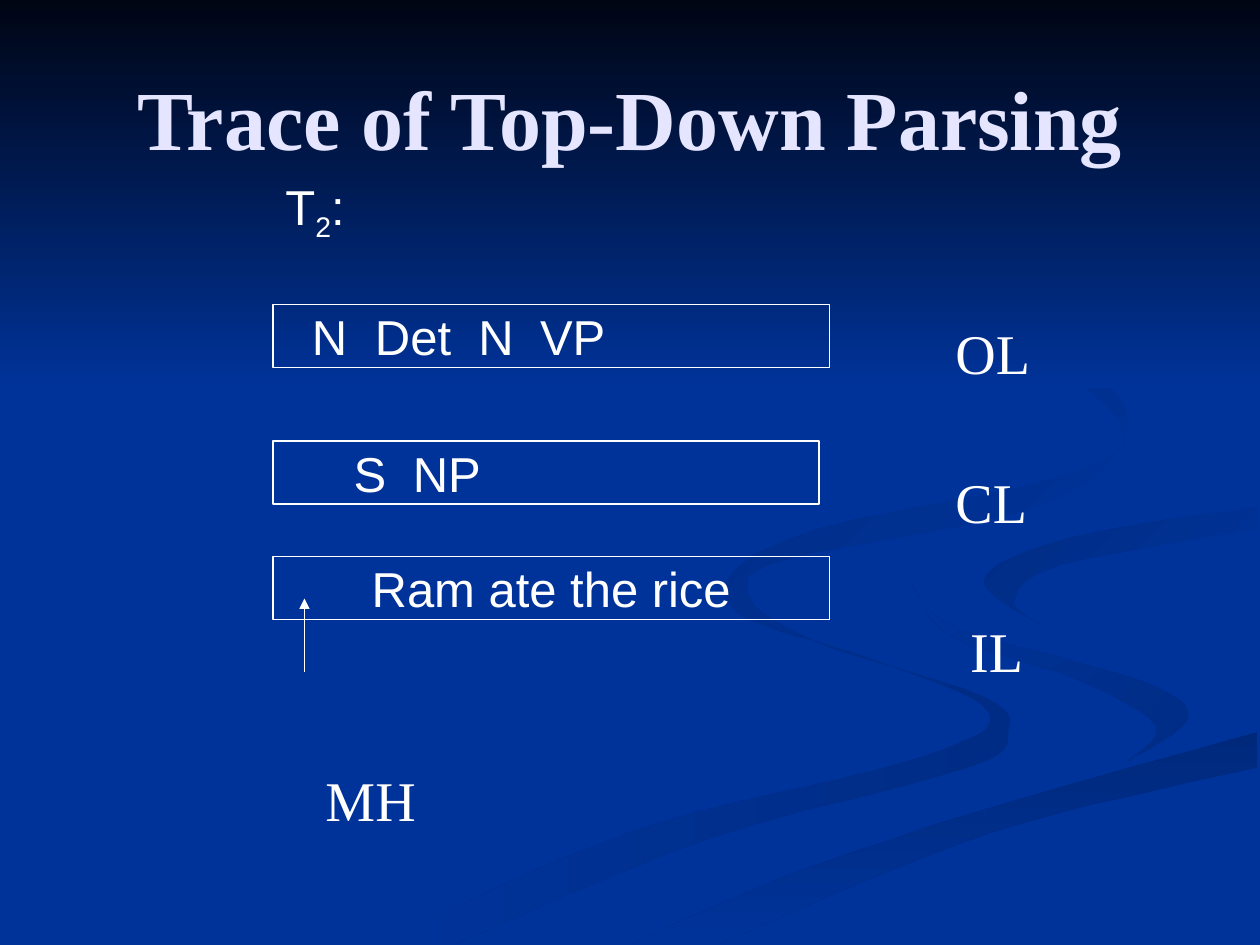
from dataclasses import dataclass

from lxml.etree import SubElement
from pptx import Presentation
from pptx.dml.color import RGBColor
from pptx.enum.shapes import MSO_CONNECTOR, MSO_SHAPE
from pptx.enum.text import MSO_ANCHOR, PP_ALIGN
from pptx.oxml.ns import qn
from pptx.util import Inches, Pt

Point = tuple[float, float]


@dataclass(frozen=True)
class Theme:
    background: str = "003399"
    night: str = "000514"
    shade: str = "002C85"
    deep_shade: str = "00297C"
    title: str = "E5E5FF"
    text: str = "FFFFFF"
    serif: str = "Times New Roman"
    sans: str = "Arial"
    title_size: int = 48
    label_size: int = 32
    entry_size: int = 28
    line_width: float = 0.75


@dataclass(frozen=True)
class Area:
    """Place on the grid of 120 columns by 90 rows."""
    col: float
    row: float
    cols: float
    rows: float

    def emu(self) -> list[int]:
        return [grid(n) for n in (self.col, self.row, self.cols, self.rows)]


@dataclass(frozen=True)
class ParseList:
    """A framed list; inset and tab stops are in inches."""
    entries: str
    area: Area
    inset: float = 0.1
    tabs: tuple[float, ...] = ()
    align: PP_ALIGN = PP_ALIGN.LEFT


@dataclass(frozen=True)
class Label:
    caption: str
    col: float


@dataclass(frozen=True)
class Ribbon:
    """Two curved edges, there and back, in hundredths of an inch."""
    colors: tuple[str, str]
    angle: int
    there: tuple[Point, ...]
    back: tuple[Point, ...]


THEME = Theme()
LABEL_ROW, LABEL_STEP = 33.5, 14.2
CURVE_STEPS = 6

PARSE_LISTS = (
    ParseList("N\tDet\tN\tVP", Area(26, 29, 53, 6), 0.31, (0.5, 1.32, 1.81)),
    ParseList("S\tNP", Area(26, 42, 52, 6), 0.64, (0.47,)),
    ParseList("Ram ate the rice", Area(26, 53, 53, 6), align=PP_ALIGN.CENTER),
)
LABELS = (Label("OL", 91), Label("CL", 91), Label("IL", 92.4), Label("MH", 31))

RIBBONS = (
    Ribbon((THEME.shade, THEME.background), 180,
           ((574, 464), (593, 491), (697, 525), (785, 566), (727, 602), (499, 661), (300, 749)),
           ((361, 749), (564, 665), (769, 609), (800, 581), (781, 553), (642, 507), (574, 464))),
    Ribbon((THEME.shade, THEME.background), 225,
           ((724, 464), (758, 498), (905, 540), (943, 570), (894, 605)),
           ((894, 605), (917, 576), (854, 539), (755, 505), (724, 464))),
    Ribbon((THEME.deep_shade, THEME.background), 90,
           ((503, 749), (630, 693), (797, 638), (998, 581)),
           ((998, 609), (785, 661), (571, 749))),
    Ribbon((THEME.background, THEME.shade), 225,
           ((998, 402), (849, 427), (781, 460), (826, 496)),
           ((826, 496), (805, 476), (843, 448), (998, 420))),
    Ribbon((THEME.background, THEME.shade), 225,
           ((622, 500), (577, 462), (649, 420), (842, 378), (889, 335), (762, 233)),
           ((762, 233), (864, 291), (894, 344), (825, 402), (624, 444), (593, 470), (622, 500))),
)


def grid(cells: float) -> int:
    return round(Inches(cells / 12))


def rgb(color: str) -> RGBColor:
    return RGBColor.from_string(color)


def smooth(knots: tuple[Point, ...]) -> list[Point]:
    """Points of a Catmull-Rom curve through the knots."""
    padded = (knots[0], *knots, knots[-1])
    curve = [knots[0]]
    for a, b, c, d in zip(padded, padded[1:], padded[2:], padded[3:]):
        for step in range(1, CURVE_STEPS + 1):
            t = step / CURVE_STEPS
            curve.append(tuple(
                q + t / 2 * (r - p + t * (2 * p - 5 * q + 4 * r - s
                                          + t * (3 * (q - r) + s - p)))
                for p, q, r, s in zip(a, b, c, d)))
    return curve


def paint_gradient(shape, colors: tuple[str, str], clockwise: int) -> None:
    shape.shadow.inherit = False
    shape.line.fill.background()
    shape.fill.gradient()
    shape.fill.gradient_angle = (360 - clockwise) % 360
    for stop, color in zip(shape.fill.gradient_stops, colors):
        stop.color.rgb = rgb(color)


def draw_ribbon(slide, ribbon: Ribbon) -> None:
    start, *rest = smooth(ribbon.there) + smooth(ribbon.back)
    builder = slide.shapes.build_freeform(*start, scale=Inches(1) / 100)
    builder.add_line_segments(rest, close=True)
    paint_gradient(builder.convert_to_shape(), ribbon.colors, ribbon.angle)


def style(run, size: int, font: str, color: str = THEME.text, bold: bool = False) -> None:
    run.font.size, run.font.name, run.font.bold = Pt(size), font, bold
    run.font.color.rgb = rgb(color)


def write(shape, text: str, size: int, font: str, color: str = THEME.text,
          align: PP_ALIGN = PP_ALIGN.LEFT, bold: bool = False, inset: float = 0.1):
    frame = shape.text_frame
    frame.word_wrap = True
    frame.vertical_anchor = MSO_ANCHOR.MIDDLE
    frame.margin_left = Inches(inset)
    frame.text = text
    paragraph = frame.paragraphs[0]
    paragraph.alignment = align
    for run in paragraph.runs:
        style(run, size, font, color, bold)
    return paragraph


def draw_parse_list(slide, item: ParseList) -> None:
    box = slide.shapes.add_shape(MSO_SHAPE.RECTANGLE, *item.area.emu())
    box.shadow.inherit = False
    box.fill.background()
    box.line.color.rgb = rgb(THEME.text)
    box.line.width = Pt(THEME.line_width)
    paragraph = write(box, item.entries, THEME.entry_size, THEME.sans,
                      align=item.align, inset=item.inset)
    if item.tabs:
        stops = SubElement(paragraph._p.get_or_add_pPr(), qn("a:tabLst"))
        for position in item.tabs:
            SubElement(stops, qn("a:tab"), pos=str(Inches(position)), algn="l")


def draw_label(slide, label: Label, index: int) -> None:
    middle = LABEL_ROW + index * LABEL_STEP
    box = slide.shapes.add_textbox(*Area(label.col, middle - 4, 12, 8).emu())
    write(box, label.caption, THEME.label_size, THEME.serif, inset=0)


def draw_step_name(slide) -> None:
    box = slide.shapes.add_textbox(*Area(26, 16.2, 52, 7.5).emu())
    paragraph = write(box, "T", THEME.entry_size, THEME.sans)
    box.text_frame.vertical_anchor = MSO_ANCHOR.TOP
    for text, baseline in (("2", "-25000"), (":", "0")):
        run = paragraph.add_run()
        run.text = text
        style(run, THEME.entry_size, THEME.sans)
        run._r.get_or_add_rPr().set("baseline", baseline)


def draw_head_arrow(slide) -> None:
    arrow = slide.shapes.add_connector(
        MSO_CONNECTOR.STRAIGHT, grid(29), grid(64), grid(29), grid(57))
    arrow.line.color.rgb = rgb(THEME.text)
    arrow.line.width = Pt(THEME.line_width)
    SubElement(arrow.line._get_or_add_ln(), qn("a:tailEnd"), type="triangle")
    SubElement(arrow._element.spPr, qn("a:effectLst"))


def main() -> None:
    deck = Presentation()
    deck.slide_width, deck.slide_height = grid(120), grid(90)
    slide = deck.slides.add_slide(deck.slide_layouts[6])
    slide.background.fill.solid()
    slide.background.fill.fore_color.rgb = rgb(THEME.background)

    for ribbon in RIBBONS:
        draw_ribbon(slide, ribbon)
    sky = slide.shapes.add_shape(MSO_SHAPE.RECTANGLE, *Area(0, 0, 120, 37).emu())
    paint_gradient(sky, (THEME.night, THEME.background), 90)

    title = slide.shapes.add_textbox(*Area(6, 3.6, 108, 15).emu())
    write(title, "Trace of Top-Down Parsing", THEME.title_size, THEME.serif,
          THEME.title, PP_ALIGN.CENTER, bold=True)
    for index, label in enumerate(LABELS):
        draw_label(slide, label, index)
    for item in PARSE_LISTS:
        draw_parse_list(slide, item)
    draw_head_arrow(slide)
    draw_step_name(slide)
    deck.save("out.pptx")


if __name__ == "__main__":
    main()
